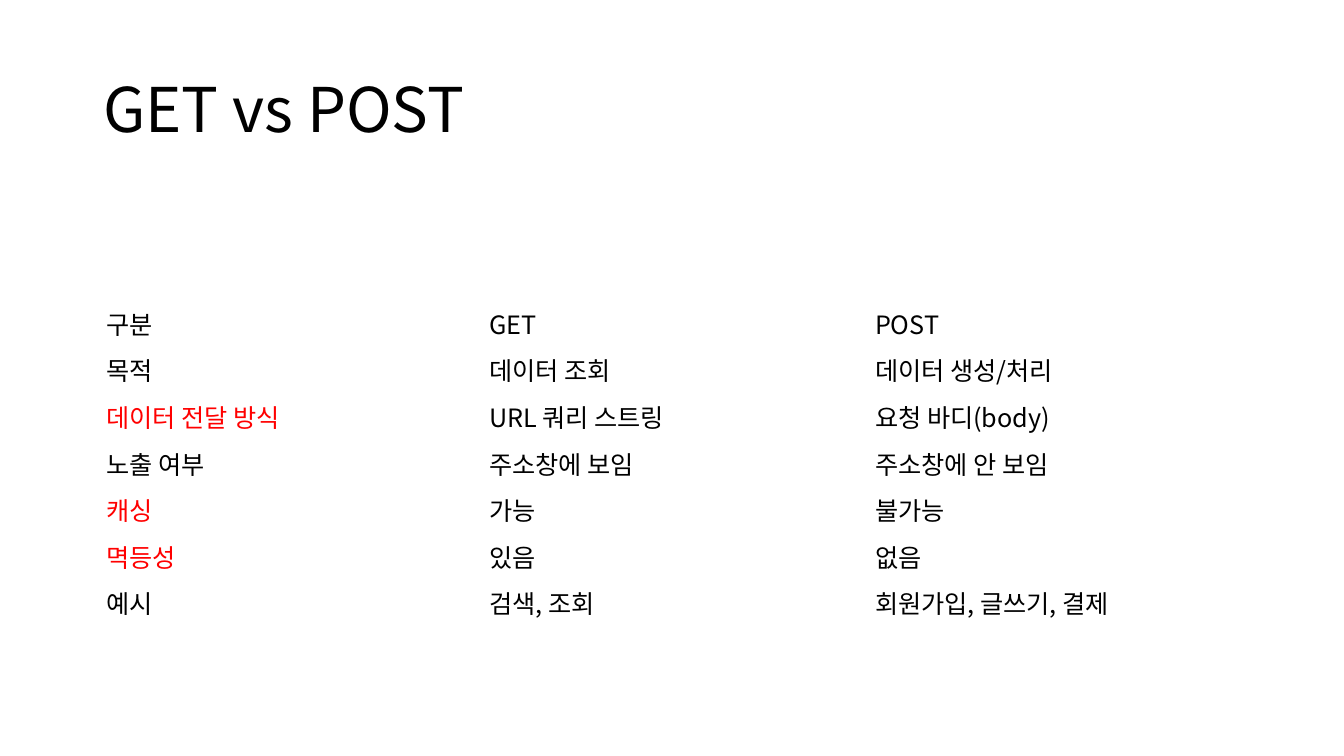
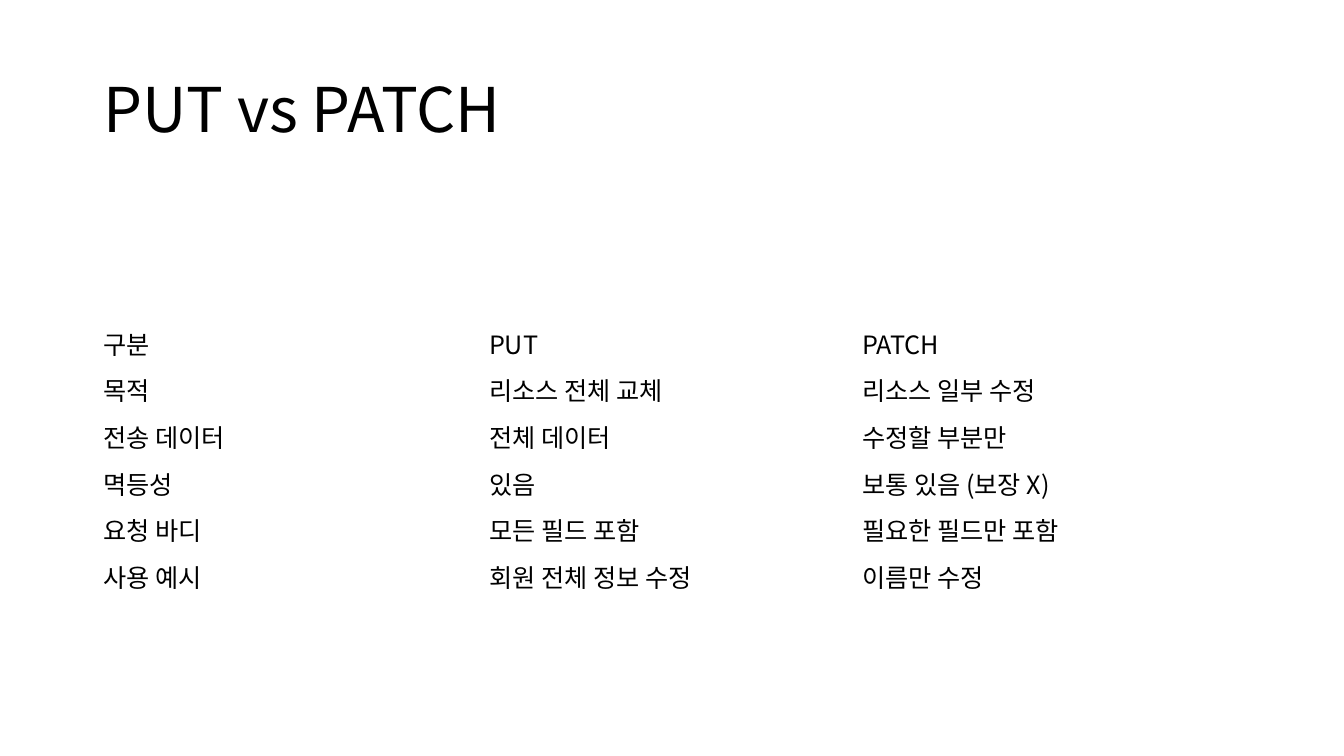
"""Build two slides that compare HTTP methods in plain three-column tables."""
import dataclasses

import pptx
import pptx.dml.color
import pptx.enum.text
import pptx.oxml
import pptx.oxml.ns
import pptx.util


@dataclasses.dataclass(frozen=True)
class Theme:
    font: str = "Noto Sans CJK KR"
    ink: str = "000000"
    accent: str = "FF0000"
    title_size: int = 44
    cell_size: int = 18
    title_spacing: float = 0.9


THEME = Theme()
PX = 914400 / 100.8
SLIDE_SIZE = (1344, 756)
TITLE_BOX = (93, 40, 1159, 146)
ROW_HEIGHT = 40

SLIDES = [
    {
        "title": "GET vs POST",
        "origin": (96, 300),
        "columns": (383, 386, 386),
        "accented": {"데이터 전달 방식", "캐싱", "멱등성"},
        "rows": [
            ("구분", "GET", "POST"),
            ("목적", "데이터 조회", "데이터 생성/처리"),
            ("데이터 전달 방식", "URL 쿼리 스트링", "요청 바디(body)"),
            ("노출 여부", "주소창에 보임", "주소창에 안 보임"),
            ("캐싱", "가능", "불가능"),
            ("멱등성", "있음", "없음"),
            ("예시", "검색, 조회", "회원가입, 글쓰기, 결제"),
        ],
    },
    {
        "title": "PUT vs PATCH",
        "origin": (93, 320),
        "columns": (386, 373, 400),
        "accented": set(),
        "rows": [
            ("구분", "PUT", "PATCH"),
            ("목적", "리소스 전체 교체", "리소스 일부 수정"),
            ("전송 데이터", "전체 데이터", "수정할 부분만"),
            ("멱등성", "있음", "보통 있음 (보장 X)"),
            ("요청 바디", "모든 필드 포함", "필요한 필드만 포함"),
            ("사용 예시", "회원 전체 정보 수정", "이름만 수정"),
        ],
    },
]


def px(value):
    return pptx.util.Emu(round(value * PX))


def write(tf, text, *, size=THEME.cell_size, color=THEME.ink, spacing=None):
    p = tf.paragraphs[0]
    p.alignment = pptx.enum.text.PP_ALIGN.LEFT
    p.line_spacing = spacing
    r = p.add_run()
    r.text = text
    r.font.size = pptx.util.Pt(size)
    r.font.color.rgb = pptx.dml.color.RGBColor.from_string(color)
    r.font.name = THEME.font
    ea = pptx.oxml.parse_xml(f'<a:ea {pptx.oxml.ns.nsdecls("a")} typeface="{THEME.font}"/>')
    r.font._element.find(pptx.oxml.ns.qn("a:latin")).addnext(ea)


def add_title(s, text):
    title = s.shapes.title
    title.left, title.top, title.width, title.height = map(px, TITLE_BOX)
    tf = title.text_frame
    tf.auto_size = pptx.enum.text.MSO_AUTO_SIZE.NONE
    tf.vertical_anchor = pptx.enum.text.MSO_ANCHOR.MIDDLE
    write(tf, text, size=THEME.title_size, spacing=THEME.title_spacing)


def add_comparison(s, rows, columns, origin, accented):
    size = (sum(columns), ROW_HEIGHT * len(rows))
    frame = s.shapes.add_table(len(rows), len(columns), *map(px, origin + size))
    table = frame.table
    table.first_row = table.horz_banding = False
    for column, width in zip(table.columns, columns):
        column.width = px(width)
    for row, texts in zip(table.rows, rows):
        row.height = px(ROW_HEIGHT)
        for cell, text in zip(row.cells, texts):
            cell.fill.background()
            cell.vertical_anchor = pptx.enum.text.MSO_ANCHOR.MIDDLE
            color = THEME.accent if text in accented else THEME.ink
            write(cell.text_frame, text, color=color)


def main():
    prs = pptx.Presentation()
    prs.slide_width, prs.slide_height = map(px, SLIDE_SIZE)
    title_only = prs.slide_layouts.get_by_name("Title Only")
    for content in SLIDES:
        s = prs.slides.add_slide(title_only)
        add_title(s, content["title"])
        add_comparison(s, content["rows"], content["columns"],
                       content["origin"], content["accented"])
    prs.save("out.pptx")


if __name__ == "__main__":
    main()
